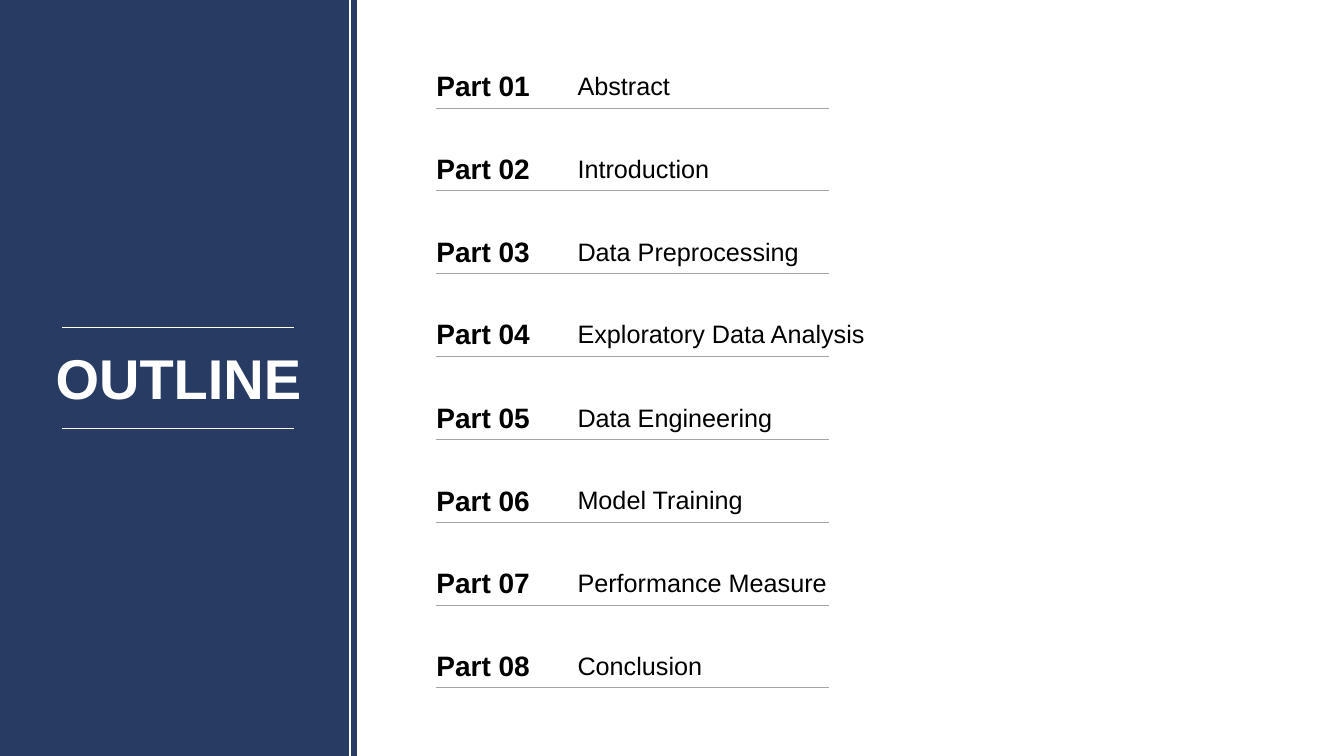
from lxml.etree import SubElement
from pptx import Presentation
from pptx.dml.color import RGBColor
from pptx.enum.shapes import MSO_CONNECTOR, MSO_SHAPE
from pptx.enum.text import MSO_ANCHOR, MSO_AUTO_SIZE, PP_ALIGN
from pptx.oxml.ns import qn
from pptx.util import Pt

HEADING = "OUTLINE"
TOPICS = [
    "Abstract",
    "Introduction",
    "Data Preprocessing",
    "Exploratory Data Analysis",
    "Data Engineering",
    "Model Training",
    "Performance Measure",
    "Conclusion",
]

NAVY = RGBColor(0x28, 0x3C, 0x63)
WHITE = RGBColor(0xFF, 0xFF, 0xFF)
BLACK = RGBColor(0x00, 0x00, 0x00)
GRAY = RGBColor(0xA5, 0xA5, 0xA5)

PX = 9144
SLIDE_WIDTH, SLIDE_HEIGHT = 1333, 750
PANEL_WIDTH, STRIPE_X = 354, 347
HEADING_BOX = (44, 336, 266, 77)
HEADING_RULES = (325, 425)
HEADING_RULE_LEFT, HEADING_RULE_RIGHT = 62, 292
FIRST_RULE, LAST_RULE = 107, 682
RULE_LEFT, RULE_RIGHT = 432, 822
LABEL_LEFT, LABEL_WIDTH, LABEL_HEIGHT = 423, 114, 44
TOPIC_LEFT, TOPIC_WIDTH, TOPIC_HEIGHT = 563, 320, 40


def emu(*lengths):
    """Turn px lengths into EMU."""
    return [length * PX for length in lengths]


def add_rule(slide, start_x, start_y, end_x, end_y, color, weight):
    """Draw a straight line without a shadow."""
    rule = slide.shapes.add_connector(
        MSO_CONNECTOR.STRAIGHT, *emu(start_x, start_y, end_x, end_y))
    rule.line.color.rgb = color
    rule.line.width = Pt(weight)
    SubElement(rule._element.spPr, qn("a:effectLst"))


def write(holder, text, size, color, bold=False, align=PP_ALIGN.LEFT):
    """Fill a text holder with one formatted paragraph."""
    frame = holder.text_frame
    frame.text = text
    frame.word_wrap = True
    frame.auto_size = MSO_AUTO_SIZE.NONE
    frame.vertical_anchor = MSO_ANCHOR.MIDDLE
    paragraph = frame.paragraphs[0]
    paragraph.alignment = align
    paragraph.font.name = "Arial"
    paragraph.font.size = Pt(size)
    paragraph.font.bold = bold
    paragraph.font.color.rgb = color


def add_panel(slide):
    """Build the navy side panel with its heading."""
    panel = slide.shapes.add_shape(
        MSO_SHAPE.RECTANGLE, *emu(0, 0, PANEL_WIDTH, SLIDE_HEIGHT))
    panel.shadow.inherit = False
    panel.fill.solid()
    panel.fill.fore_color.rgb = NAVY
    panel.line.fill.background()

    heading = slide.shapes.title
    heading._element.addprevious(panel._element)
    heading.left, heading.top, heading.width, heading.height = emu(*HEADING_BOX)
    write(heading, HEADING, 40, WHITE, True, PP_ALIGN.CENTER)

    add_rule(slide, STRIPE_X, 0, STRIPE_X, SLIDE_HEIGHT, WHITE, 1)
    for y in HEADING_RULES:
        add_rule(slide, HEADING_RULE_LEFT, y, HEADING_RULE_RIGHT, y, WHITE, 0.5)


def add_parts(slide):
    """List the numbered parts at an even pitch."""
    pitch = (LAST_RULE - FIRST_RULE) / (len(TOPICS) - 1)
    for index, topic in enumerate(TOPICS):
        rule_y = round(FIRST_RULE + index * pitch)
        label_top = rule_y - LABEL_HEIGHT
        topic_top = label_top + (LABEL_HEIGHT - TOPIC_HEIGHT) // 2
        label = slide.shapes.add_textbox(
            *emu(LABEL_LEFT, label_top, LABEL_WIDTH, LABEL_HEIGHT))
        write(label, f"Part {index + 1:02}", 20, BLACK, True)
        entry = slide.shapes.add_textbox(
            *emu(TOPIC_LEFT, topic_top, TOPIC_WIDTH, TOPIC_HEIGHT))
        write(entry, topic, 18, BLACK)
        add_rule(slide, RULE_LEFT, rule_y, RULE_RIGHT, rule_y, GRAY, 0.25)


def main():
    """Build the outline slide and save it."""
    deck = Presentation()
    deck.slide_width, deck.slide_height = emu(SLIDE_WIDTH, SLIDE_HEIGHT)
    slide = deck.slides.add_slide(deck.slide_layouts.get_by_name("Title Only"))
    slide.background.fill.solid()
    slide.background.fill.fore_color.rgb = WHITE
    add_panel(slide)
    add_parts(slide)
    deck.save("out.pptx")


if __name__ == "__main__":
    main()
